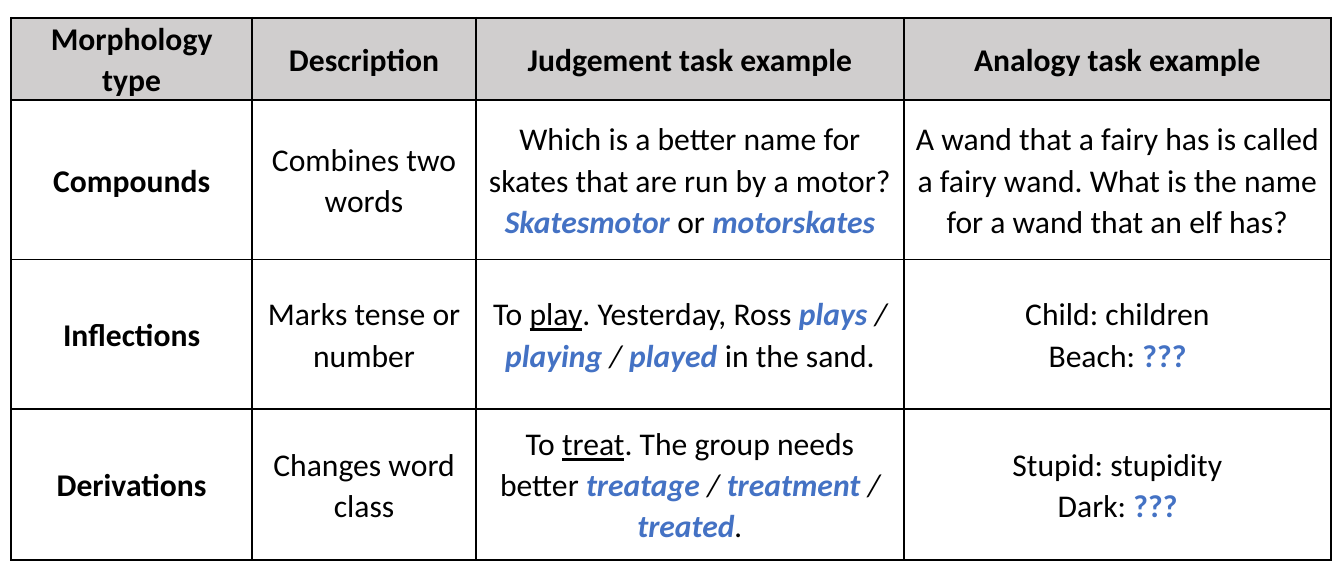
from lxml.etree import SubElement
from pptx import Presentation
from pptx.dml.color import RGBColor
from pptx.enum.text import MSO_ANCHOR, PP_ALIGN
from pptx.oxml.ns import qn
from pptx.util import Cm, Inches, Pt

BLACK = RGBColor(0x00, 0x00, 0x00)
BLUE = RGBColor(0x44, 0x72, 0xC4)
GREY = RGBColor(0xD0, 0xCE, 0xCE)

COLUMN_WIDTHS = [1.48, 1.38, 2.63, 2.63]
ROW_HEIGHTS = [0.5, 0.98, 0.92, 0.93]

# Run styles: colour, bold, italic, underline
PLAIN = (BLACK, False, False, False)
STRONG = (BLACK, True, False, False)
SLANTED = (BLACK, False, True, False)
STEM = (BLACK, False, False, True)
CHOICE = (BLUE, True, True, False)
UNKNOWN = (BLUE, True, False, False)

# Each cell is a list of paragraphs; each paragraph is a list of (text, style) runs
HEADINGS = ["Morphology type", "Description", "Judgement task example", "Analogy task example"]
MORPHOLOGY_ROWS = [
    [[[("Compounds", STRONG)]],
     [[("Combines two words", PLAIN)]],
     [[("Which is a better name for skates that are run by a motor?", PLAIN)],
      [("Skatesmotor ", CHOICE), ("or ", PLAIN), ("motorskates", CHOICE)]],
     [[("A wand that a fairy has is called a fairy wand. "
        "What is the name for a wand that an elf has?", PLAIN)]]],
    [[[("Inflections", STRONG)]],
     [[("Marks tense or number", PLAIN)]],
     [[("To ", PLAIN), ("play", STEM), (". Yesterday, Ross ", PLAIN), ("plays ", CHOICE),
       ("/ ", SLANTED), ("playing ", CHOICE), ("/", SLANTED), (" played ", CHOICE),
       ("in the sand.", PLAIN)]],
     [[("Child: children", PLAIN)],
      [("Beach: ", PLAIN), ("???", UNKNOWN)]]],
    [[[("Derivations", STRONG)]],
     [[("Changes word class", PLAIN)]],
     [[("To ", PLAIN), ("treat", STEM), (". The group needs better ", PLAIN),
       ("treatage ", CHOICE), ("/ ", SLANTED), ("treatment ", CHOICE), ("/", SLANTED),
       (" treated", CHOICE), (".", SLANTED)]],
     [[("Stupid: stupidity", PLAIN)],
      [("Dark: ", PLAIN), ("???", UNKNOWN)]]],
]


def add_borders(cell):
    """Draw a 1 pt black line on all four sides of a cell."""
    properties = cell._tc.get_or_add_tcPr()
    for position, side in enumerate(("a:lnL", "a:lnR", "a:lnT", "a:lnB")):
        line = SubElement(properties, qn(side), w=str(Pt(1)))
        SubElement(SubElement(line, qn("a:solidFill")), qn("a:srgbClr"), val=str(BLACK))
        properties.insert(position, line)


def write_cell(cell, paragraphs):
    """Fill a cell with centred paragraphs of styled runs."""
    cell.vertical_anchor = MSO_ANCHOR.MIDDLE
    cell.margin_left = cell.margin_right = Inches(0.04)
    cell.margin_top = cell.margin_bottom = 0
    frame = cell.text_frame
    for index, runs in enumerate(paragraphs):
        paragraph = frame.add_paragraph() if index else frame.paragraphs[0]
        paragraph.alignment = PP_ALIGN.CENTER
        paragraph.line_spacing = 1.07
        paragraph.font.name = "Calibri"
        paragraph.font.size = Pt(14)
        for text, (colour, bold, italic, underline) in runs:
            run = paragraph.add_run()
            run.text = text
            run.font.color.rgb = colour
            run.font.bold = bold
            run.font.italic = italic
            run.font.underline = underline


presentation = Presentation()
presentation.slide_width = Cm(21)
presentation.slide_height = Cm(9)
slide = presentation.slides.add_slide(presentation.slide_layouts[6])

morphology = slide.shapes.add_table(
    len(ROW_HEIGHTS), len(COLUMN_WIDTHS), Inches(0.07), Inches(0.11),
    Inches(sum(COLUMN_WIDTHS)), Inches(sum(ROW_HEIGHTS))).table
morphology.first_row = False
morphology.horz_banding = False
for column, width in zip(morphology.columns, COLUMN_WIDTHS):
    column.width = Inches(width)
for row, height in zip(morphology.rows, ROW_HEIGHTS):
    row.height = Inches(height)

heading_row = [[[(heading, STRONG)]] for heading in HEADINGS]
for row_index, row_content in enumerate([heading_row] + MORPHOLOGY_ROWS):
    for column_index, paragraphs in enumerate(row_content):
        cell = morphology.cell(row_index, column_index)
        write_cell(cell, paragraphs)
        if row_index == 0:
            cell.fill.solid()
            cell.fill.fore_color.rgb = GREY
        else:
            cell.fill.background()
        add_borders(cell)

presentation.save("out.pptx")
